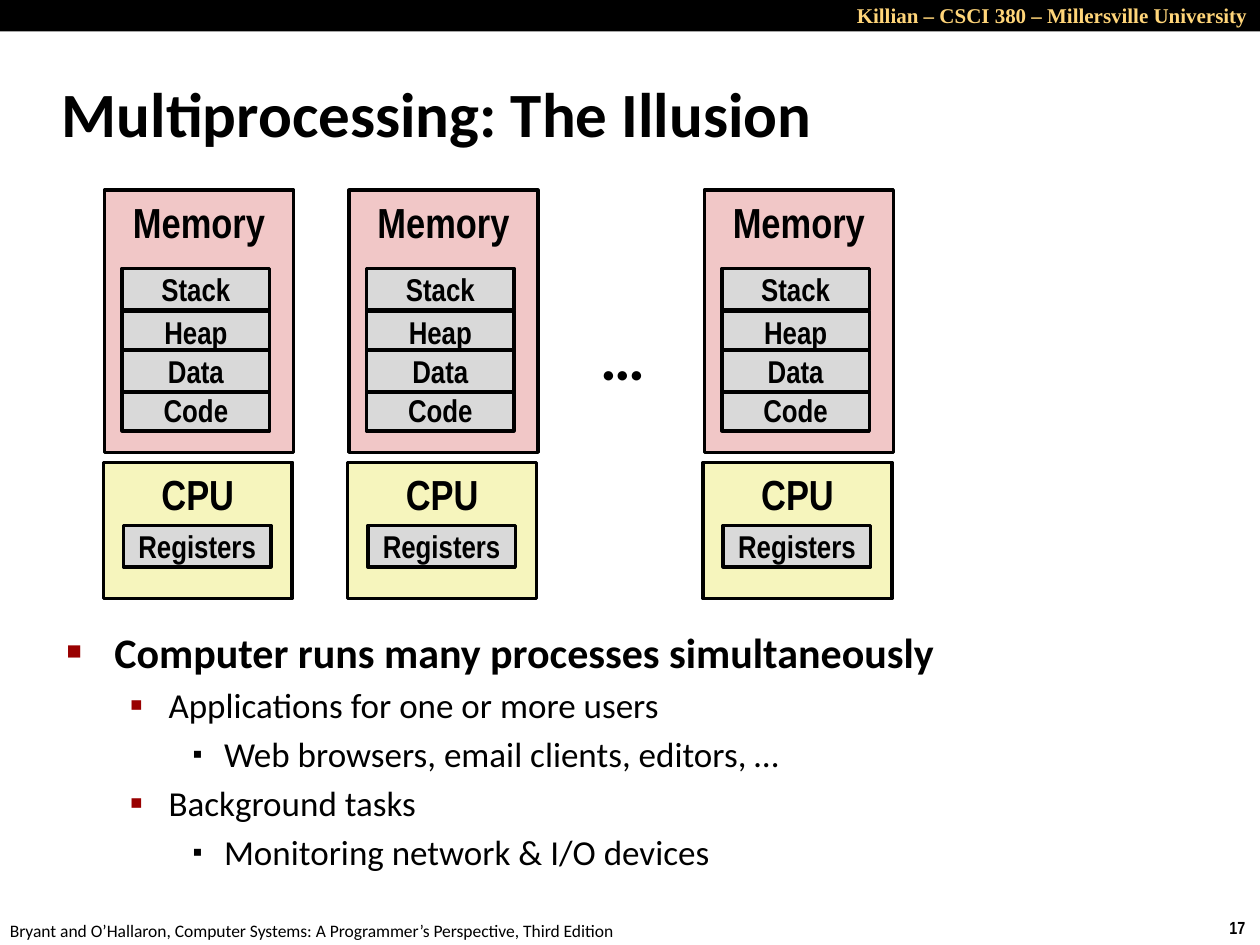
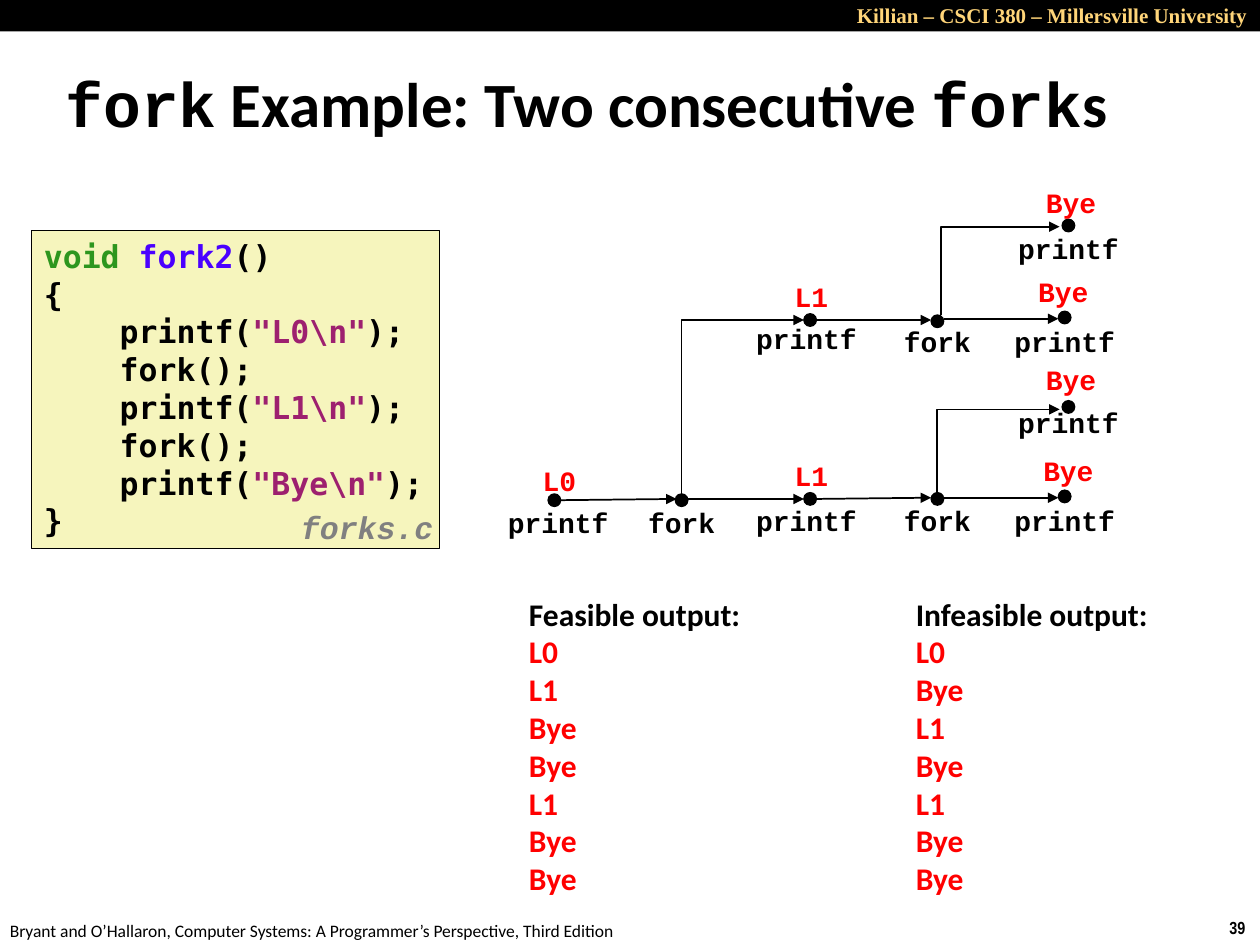
from lxml import etree
from pptx import Presentation
from pptx.dml.color import RGBColor
from pptx.enum.shapes import MSO_CONNECTOR, MSO_SHAPE
from pptx.enum.text import MSO_ANCHOR, MSO_AUTO_SIZE, PP_ALIGN
from pptx.oxml.ns import qn
from pptx.util import Inches, Pt

BLACK, RED, GREY = "000000", "FF0000", "D9D9D9"
PINK, YELLOW, GOLD = "F1C7C7", "F6F5BD", "FFD579"
KEYWORD, FUNCTION, STRING = "2D961E", "4A00FF", "9D206F"
SANS, NARROW, MONO, CODE = "Calibri", "Arial Narrow", "Courier New", "DejaVu Sans Mono"
LEFT, CENTER, RIGHT = PP_ALIGN.LEFT, PP_ALIGN.CENTER, PP_ALIGN.RIGHT

# Bullet levels: margin, hanging indent, character, colour, size %, text size, bold
LEVELS = [
    (0.38, 0.38, "■", "990000", 60, 24, True),
    (0.81, 0.31, "▪", "990000", 110, 20, False),
    (1.25, 0.25, "▪", BLACK, 80, 20, False),
]


def rgb(color):
    return RGBColor.from_string(color)


def set_font(font, name, size, color=BLACK, bold=True, italic=False):
    font.name, font.size = name, Pt(size)
    font.bold, font.italic = bold, italic
    font.color.rgb = rgb(color)


def add_element(parent, tag, **attributes):
    return etree.SubElement(parent, qn(tag), attributes)


# Text
def add_text(s, x, y, w, h, lines, name, size, color=BLACK, bold=True,
             italic=False, align=LEFT, wrap=False):
    tf = s.shapes.add_textbox(Inches(x), Inches(y), Inches(w), Inches(h)).text_frame
    tf.word_wrap = wrap
    for i, line in enumerate(lines):
        p = tf.paragraphs[0] if i == 0 else tf.add_paragraph()
        p.text, p.alignment = line, align
        set_font(p.font, name, size, color, bold, italic)
    return tf


def add_title(s, x, y, w, h, runs):
    title = s.shapes.title
    title.left, title.top, title.width, title.height = map(Inches, (x, y, w, h))
    tf = title.text_frame
    tf.auto_size, tf.vertical_anchor = MSO_AUTO_SIZE.NONE, MSO_ANCHOR.MIDDLE
    p = tf.paragraphs[0]
    p.alignment = LEFT
    set_font(p.font, SANS, 36)
    for text, name in runs:
        r = p.add_run()
        r.text, r.font.name = text, name


def add_bullets(s, x, y, w, h, items):
    tf = add_text(s, x, y, w, h, [text for _, text in items], SANS, 20, wrap=True)
    for i, (p, (level, _)) in enumerate(zip(tf.paragraphs, items)):
        margin, hang, char, color, percent, size, bold = LEVELS[level]
        pPr = p._p.get_or_add_pPr()
        pPr.set("marL", str(Inches(margin)))
        pPr.set("indent", str(-Inches(hang)))
        pPr.remove(pPr.find(qn("a:defRPr")))
        if i:
            p.space_before = Pt(size * 0.2)
        add_element(add_element(pPr, "a:buClr"), "a:srgbClr", val=color)
        add_element(pPr, "a:buSzPct", val=str(percent * 1000))
        add_element(pPr, "a:buFont", typeface="Arial")
        add_element(pPr, "a:buChar", char=char)
        set_font(p.font, SANS, size, bold=bold)


# Shapes
def add_block(s, x, y, w, h, fill, line=2.0, kind=MSO_SHAPE.RECTANGLE):
    sp = s.shapes.add_shape(kind, Inches(x), Inches(y), Inches(w), Inches(h))
    sp.shadow.inherit = False
    sp.fill.solid()
    sp.fill.fore_color.rgb = rgb(fill)
    sp.line.color.rgb = rgb(BLACK)
    sp.line.width = Pt(line)
    return sp


def add_labelled(s, x, y, w, h, fill, label, size, anchor=MSO_ANCHOR.MIDDLE):
    tf = add_block(s, x, y, w, h, fill).text_frame
    tf.vertical_anchor = anchor
    p = tf.paragraphs[0]
    p.text, p.alignment = label, CENTER
    set_font(p.font, NARROW, size)


def add_arrow(s, x1, y1, x2, y2, kind=MSO_CONNECTOR.STRAIGHT):
    c = s.shapes.add_connector(kind, *map(Inches, (x1, y1, x2, y2)))
    c.line.color.rgb = rgb(BLACK)
    c.line.width = Pt(1)
    add_element(c.line._get_or_add_ln(), "a:tailEnd", type="triangle")
    add_element(c._element.spPr, "a:effectLst")
    return c


def add_up_right_arrow(s, x1, y1, x2, y2):
    """One-corner connector going up from the start, then right to the end."""
    cx, cy = (x1 + x2) / 2, (y1 + y2) / 2
    dx, dy = (x2 - x1) / 2, (y1 - y2) / 2
    # The box is laid out on its side, then turned a quarter
    c = add_arrow(s, cx + dy, cy + dx, cx - dy, cy - dx, MSO_CONNECTOR.ELBOW)
    spPr = c._element.spPr
    spPr.find(qn("a:xfrm")).set("rot", "5400000")
    spPr.find(qn("a:prstGeom")).set("prst", "bentConnector2")


# Shared frame
def add_slide(prs, number):
    s = prs.slides.add_slide(prs.slide_layouts[5])
    add_block(s, 0, 0, 10, 0.25, BLACK).line.fill.background()
    add_text(s, 5.83, -0.03, 4.17, 0.3, ["Killian – CSCI 380 – Millersville University"],
             "Times New Roman", 12, GOLD, align=RIGHT, wrap=True)
    add_text(s, 9.66, 7.23, 0.34, 0.27, [number], NARROW, 10)
    add_text(s, -0.02, 7.25, 5.08, 0.27,
             ["Bryant and O’Hallaron, Computer Systems: A Programmer’s Perspective, Third Edition"],
             SANS, 10, bold=False)
    return s


# Multiprocessing slide
def add_process(s, x):
    add_labelled(s, x, 3.67, 1.5, 1.08, YELLOW, "CPU", 24, MSO_ANCHOR.TOP)
    add_labelled(s, x + 0.16, 4.17, 1.17, 0.33, GREY, "Registers", 18)
    add_labelled(s, x + 0.01, 1.51, 1.5, 2.08, PINK, "Memory", 24, MSO_ANCHOR.TOP)
    for segment, y in (("Stack", 2.13), ("Heap", 2.47), ("Code", 3.09), ("Data", 2.78)):
        add_labelled(s, x + 0.15, y, 1.17, 0.33, GREY, segment, 18)


def multiprocessing_slide(prs):
    s = add_slide(prs, "17")
    add_title(s, 0.39, 0.48, 8.3, 0.83, [("Multiprocessing: The Illusion", SANS)])
    for x in (0.82, 2.76, 5.58):
        add_process(s, x)
    add_text(s, 4.67, 2.47, 0.56, 0.71, ["…"], SANS, 36)
    add_bullets(s, 0.43, 4.92, 8.64, 2.16, [
        (0, "Computer runs many processes simultaneously"),
        (1, "Applications for one or more users"),
        (2, "Web browsers, email clients, editors, …"),
        (1, "Background tasks"),
        (2, "Monitoring network & I/O devices"),
    ])


# Fork slide
def add_code(s):
    def print_line(text):
        return [("    printf(", BLACK), (f'"{text}\\n"', STRING), (");", BLACK)]

    fork_line = [("    fork();", BLACK)]
    lines = [
        [("void ", KEYWORD), ("fork2", FUNCTION), ("()", BLACK)],
        [("{", BLACK)],
        print_line("L0"), fork_line,
        print_line("L1"), fork_line,
        print_line("Bye"),
        [("}", BLACK)],
    ]
    tf = add_block(s, 0.25, 1.83, 3.24, 2.52, YELLOW, 0.25).text_frame
    tf.word_wrap, tf.vertical_anchor = False, MSO_ANCHOR.TOP
    for i, line in enumerate(lines):
        p = tf.paragraphs[0] if i == 0 else tf.add_paragraph()
        p.alignment = LEFT
        set_font(p.font, CODE, 18)
        for text, color in line:
            r = p.add_run()
            r.text = text
            r.font.color.rgb = rgb(color)
    add_text(s, 2.29, 3.98, 1.32, 0.39, ["forks.c"], MONO, 18, "808080", italic=True)


def add_event(s, x, y, call, call_x, call_y, output=None, out_x=0, out_y=0):
    """Dot centred on x, y, with the call below and its output above."""
    add_block(s, x - 0.05, y - 0.05, 0.1, 0.1, BLACK, 0.75, MSO_SHAPE.OVAL)
    add_text(s, call_x - 0.55, call_y, 1.1, 0.37, [call], MONO, 16, align=CENTER, wrap=True)
    if output:
        add_text(s, out_x - 0.43, out_y, 0.86, 0.37, [output], MONO, 16, RED,
                 align=CENTER, wrap=True)


def add_process_graph(s):
    for arrow in (
        (4.45, 3.97, 5.37, 3.96), (5.46, 3.96, 6.38, 3.96),
        (6.48, 3.96, 7.39, 3.95), (7.49, 3.95, 8.4, 3.95),
        (6.48, 2.54, 7.39, 2.54), (7.49, 2.53, 8.4, 2.53),
    ):
        add_arrow(s, *arrow)
    for branch in ((5.41, 3.92, 6.38, 2.54), (7.44, 3.95, 8.41, 3.25), (7.47, 2.5, 8.41, 1.8)):
        add_up_right_arrow(s, *branch)
    for event in (
        (4.4, 3.97, "printf", 4.43, 3.96, "L0", 4.44, 3.63),
        (5.41, 3.97, "fork", 5.41, 3.96),
        (6.43, 3.96, "printf", 6.4, 3.95, "L1", 6.44, 3.59),
        (7.44, 3.96, "fork", 7.44, 3.95),
        (8.45, 3.94, "printf", 8.45, 3.95, "Bye", 8.48, 3.55),
        (8.48, 3.23, "printf", 8.48, 3.17, "Bye", 8.5, 2.83),
        (6.43, 2.54, "printf", 6.4, 2.5, "L1", 6.44, 2.17),
        (7.44, 2.55, "fork", 7.44, 2.53),
        (8.45, 2.52, "printf", 8.45, 2.53, "Bye", 8.44, 2.13),
        (8.48, 1.79, "printf", 8.48, 1.79, "Bye", 8.5, 1.42),
    ):
        add_event(s, *event)


def add_output(s, x, w, heading, output):
    tf = add_text(s, x, 4.67, w, 2.52, [heading, *output.split()], SANS, 18, RED)
    tf.paragraphs[0].font.color.rgb = rgb(BLACK)


def fork_slide(prs):
    s = add_slide(prs, "39")
    add_title(s, 0.42, 0.5, 9.33, 0.63, [
        ("fork", MONO), (" Example: Two consecutive ", SANS), ("fork", MONO), ("s", SANS)])
    add_code(s)
    add_process_graph(s)
    add_output(s, 4.1, 1.9, "Feasible output:", "L0 L1 Bye Bye L1 Bye Bye")
    add_output(s, 7.17, 2.07, "Infeasible output:", "L0 Bye L1 Bye L1 Bye Bye")


def main():
    prs = Presentation()
    prs.slide_width, prs.slide_height = Inches(10), Inches(7.5)
    multiprocessing_slide(prs)
    fork_slide(prs)
    prs.save("out.pptx")


if __name__ == "__main__":
    main()
